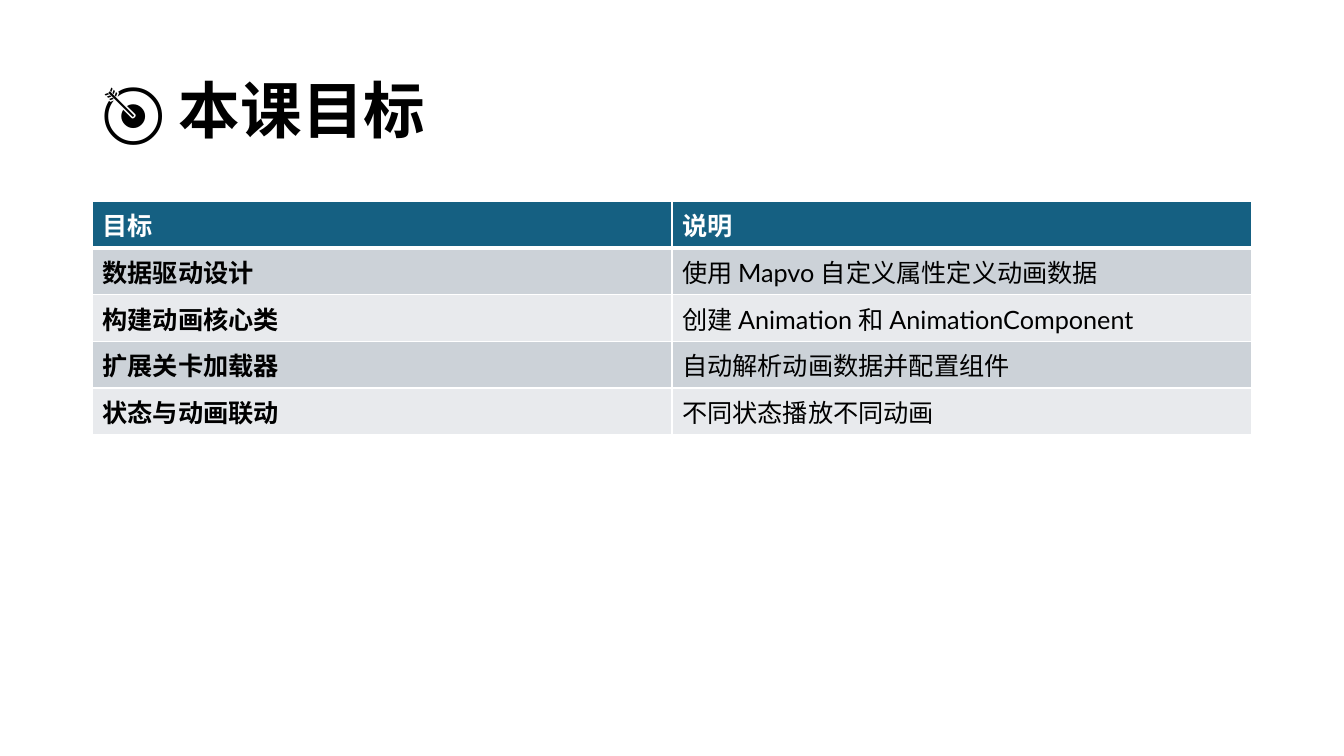
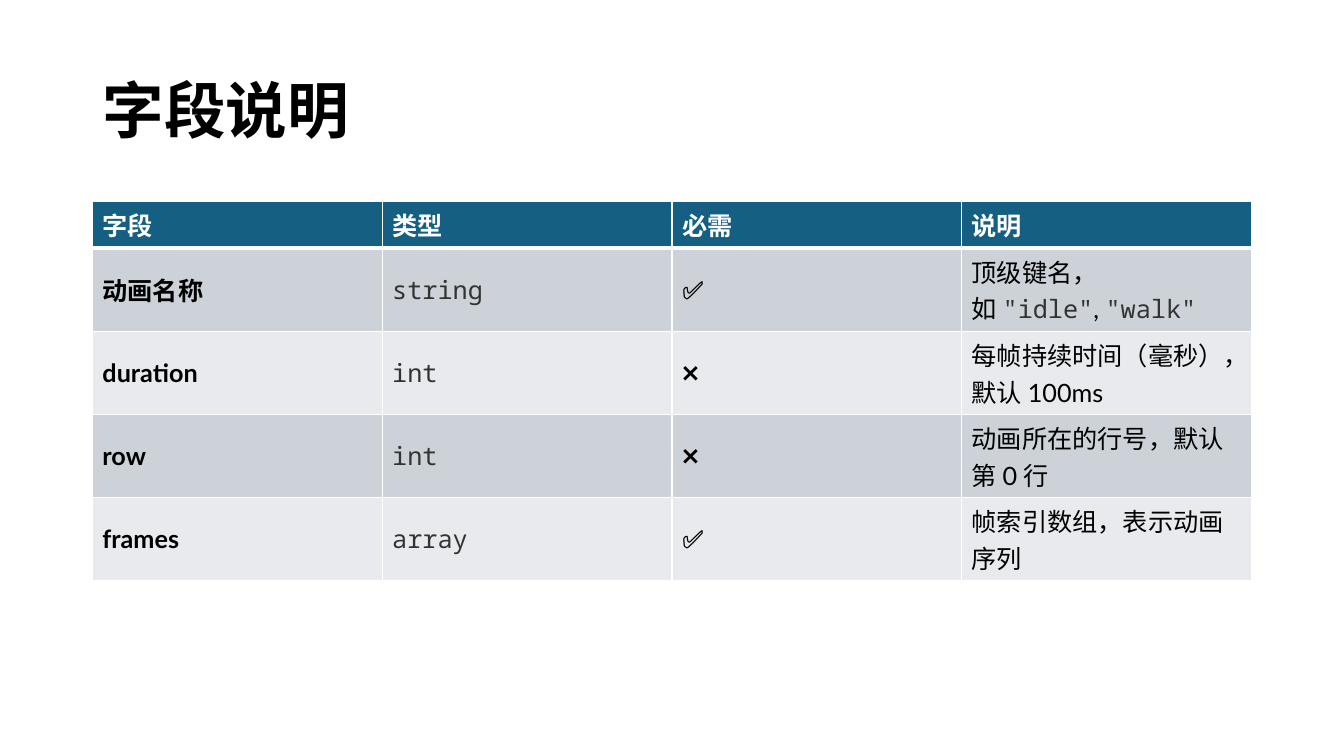
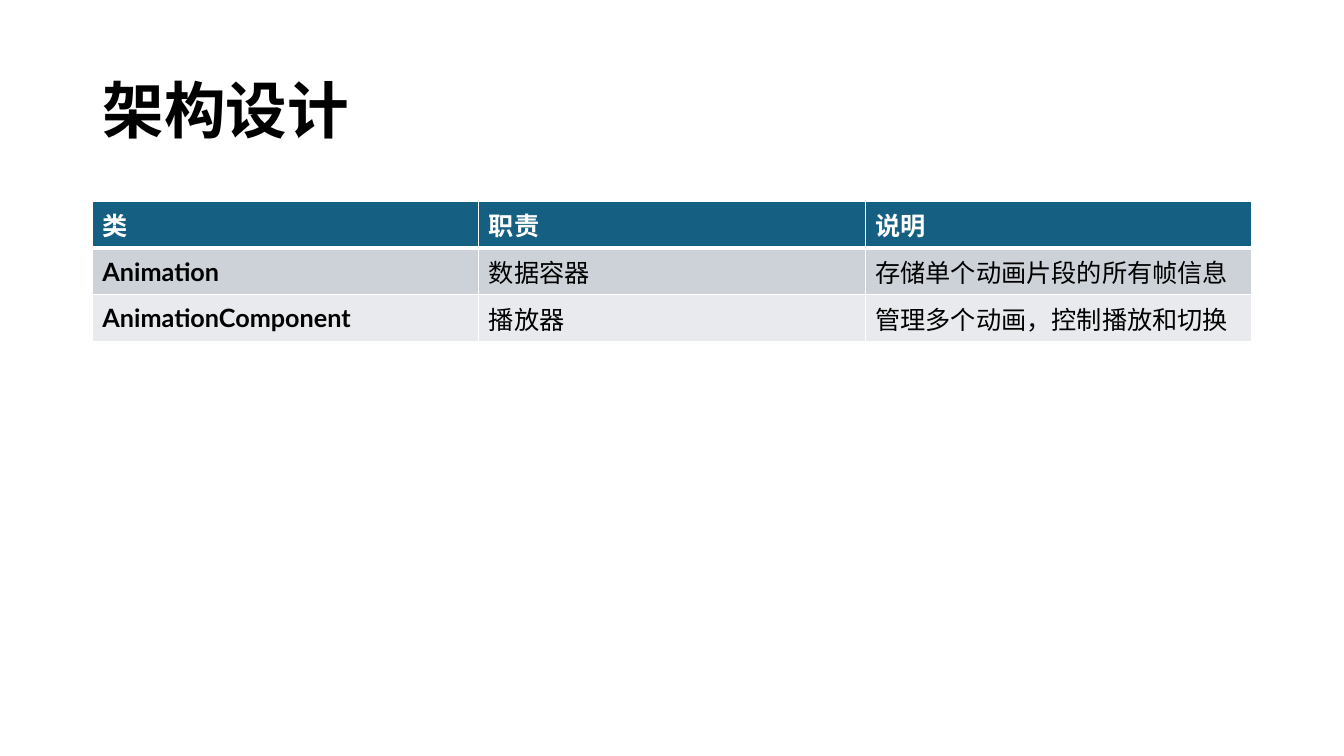
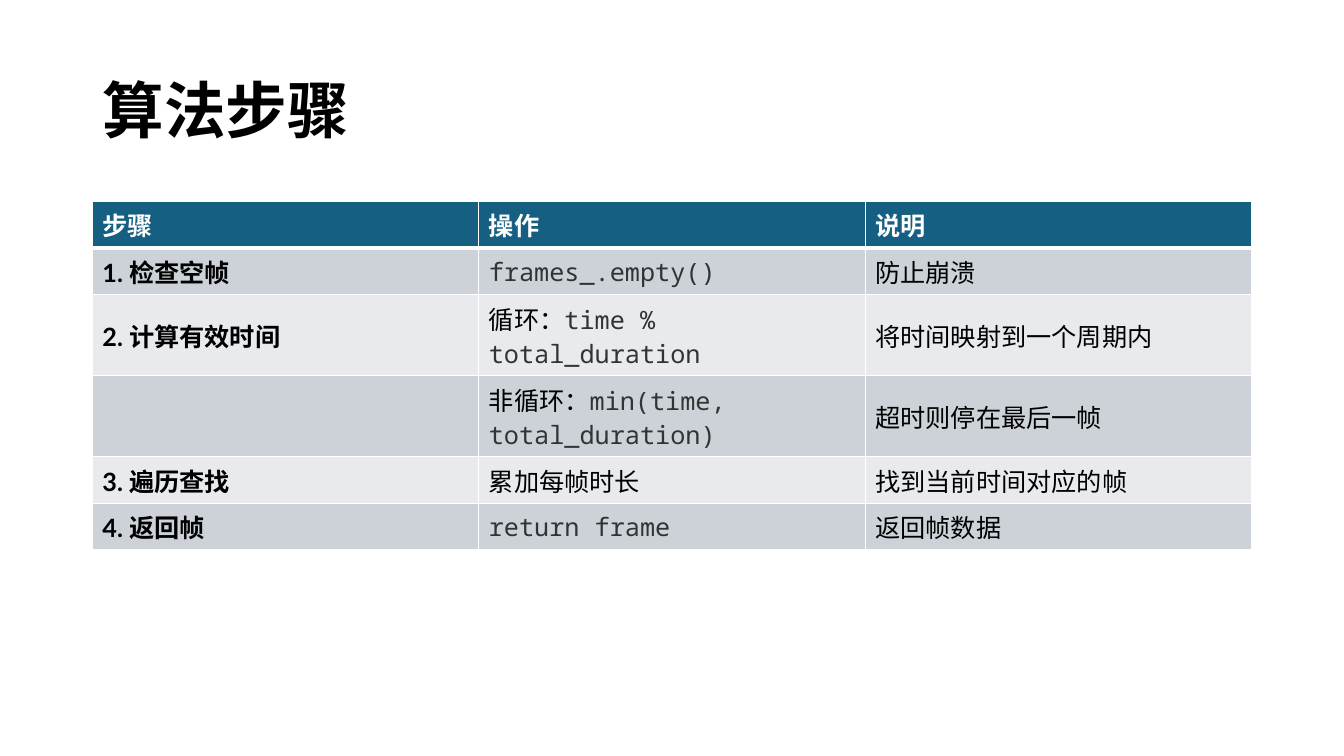
import lxml.etree
import pptx
import pptx.dml.color
import pptx.enum.lang
import pptx.enum.text
import pptx.oxml.ns
import pptx.util

# Shared look
PX = 9525  # EMU per px, 96 px to the inch
SLIDE_WIDTH, SLIDE_HEIGHT = 1280, 720
MARGIN = 88
CONTENT_WIDTH = SLIDE_WIDTH - 2 * MARGIN
TITLE_TOP, TITLE_HEIGHT = 38, 140
TABLE_TOP, ROW_HEIGHT = 192, 39
TITLE_SIZE, CELL_SIZE = 44, 18
RULE, HEADER_RULE = 1, 3  # points
TEXT_FONT, CODE_FONT = "Lato", "Noto Sans Mono"
HARD_SPACE = chr(160)  # keeps the words on both sides on one line
COLORS = {
    "text": "000000",
    "code": "333333",
    "header_text": "FFFFFF",
    "header": "156082",
    "odd_row": "CCD2D8",
    "even_row": "E8EAED",
    "rule": "FFFFFF",
}

# Content: title and table rows, with code between backticks
LESSON = [
    ("🎯 本课目标", [
        ["目标", "说明"],
        ["数据驱动设计", "使用 Mapvo 自定义属性定义动画数据"],
        ["构建动画核心类", "创建 Animation 和 AnimationComponent"],
        ["扩展关卡加载器", "自动解析动画数据并配置组件"],
        ["状态与动画联动", "不同状态播放不同动画"],
    ]),
    ("字段说明", [
        ["字段", "类型", "必需", "说明"],
        ["动画名称", "`string`", "✅",
         f'顶级键名，如{HARD_SPACE}`"idle"`,{HARD_SPACE}`"walk"`'],
        ["duration", "`int`", "❌", "每帧持续时间（毫秒），默认 100ms"],
        ["row", "`int`", "❌", "动画所在的行号，默认第 0 行"],
        ["frames", "`array`", "✅", "帧索引数组，表示动画序列"],
    ]),
    ("架构设计", [
        ["类", "职责", "说明"],
        ["Animation", "数据容器", "存储单个动画片段的所有帧信息"],
        ["AnimationComponent", "播放器", "管理多个动画，控制播放和切换"],
    ]),
    ("算法步骤", [
        ["步骤", "操作", "说明"],
        ["1. 检查空帧", "`frames_.empty()`", "防止崩溃"],
        ["2. 计算有效时间", "循环：`time % total_duration`", "将时间映射到一个周期内"],
        ["", "非循环：`min(time, total_duration)`", "超时则停在最后一帧"],
        ["3. 遍历查找", "累加每帧时长", "找到当前时间对应的帧"],
        ["4. 返回帧", "`return frame`", "返回帧数据"],
    ]),
]


def px(*lengths):
    return [pptx.util.Emu(length * PX) for length in lengths]


def rgb(name):
    return pptx.dml.color.RGBColor.from_string(COLORS[name])


def style_run(run, size, color, bold, face=TEXT_FONT):
    run.font.name = face
    run.font.size = pptx.util.Pt(size)
    run.font.bold = bold
    run.font.color.rgb = rgb(color)
    run.font.language_id = pptx.enum.lang.MSO_LANGUAGE_ID.SIMPLIFIED_CHINESE


def add_title(slide, wording):
    title = slide.shapes.title
    title.left, title.top, title.width, title.height = px(
        MARGIN, TITLE_TOP, CONTENT_WIDTH, TITLE_HEIGHT)
    frame = title.text_frame
    frame.text = wording
    frame.word_wrap = True
    frame.auto_size = pptx.enum.text.MSO_AUTO_SIZE.NONE
    frame.vertical_anchor = pptx.enum.text.MSO_ANCHOR.MIDDLE
    heading = frame.paragraphs[0]
    heading.alignment = pptx.enum.text.PP_ALIGN.LEFT
    heading.line_spacing = 0.9
    style_run(heading.runs[0], TITLE_SIZE, "text", True)


def set_borders(cell, top, bottom):
    """Rule all four sides; widths are in points."""
    qn = pptx.oxml.ns.qn
    properties = cell._tc.get_or_add_tcPr()
    for side, width in (("L", RULE), ("R", RULE), ("T", top), ("B", bottom)):
        rule = lxml.etree.SubElement(
            properties, qn(f"a:ln{side}"), w=str(pptx.util.Pt(width)))
        fill = lxml.etree.SubElement(rule, qn("a:solidFill"))
        lxml.etree.SubElement(fill, qn("a:srgbClr"), val=COLORS["rule"])


def fill_cell(cell, wording, row, column):
    header = row == 0
    set_borders(cell,
                top=HEADER_RULE if row == 1 else RULE,
                bottom=HEADER_RULE if header else RULE)
    band = "header" if header else "odd_row" if row % 2 else "even_row"
    cell.fill.solid()
    cell.fill.fore_color.rgb = rgb(band)
    cell.vertical_anchor = pptx.enum.text.MSO_ANCHOR.MIDDLE
    paragraph = cell.text_frame.paragraphs[0]
    for index, part in enumerate(wording.split("`")):
        if not part:
            continue
        run = paragraph.add_run()
        run.text = part
        if index % 2:
            style_run(run, CELL_SIZE, "code", False, CODE_FONT)
        else:
            style_run(run, CELL_SIZE, "header_text" if header else "text",
                      header or column == 0)


def add_grid(slide, rows):
    columns = len(rows[0])
    grid = slide.shapes.add_table(
        len(rows), columns,
        *px(MARGIN, TABLE_TOP, CONTENT_WIDTH, ROW_HEIGHT * len(rows))).table
    for row, entries in enumerate(rows):
        for column, wording in enumerate(entries):
            fill_cell(grid.cell(row, column), wording, row, column)


def main():
    deck = pptx.Presentation()
    deck.slide_width, deck.slide_height = px(SLIDE_WIDTH, SLIDE_HEIGHT)
    title_only = deck.slide_layouts[5]
    for title, rows in LESSON:
        slide = deck.slides.add_slide(title_only)
        add_title(slide, title)
        add_grid(slide, rows)
    deck.save("out.pptx")


if __name__ == "__main__":
    main()
